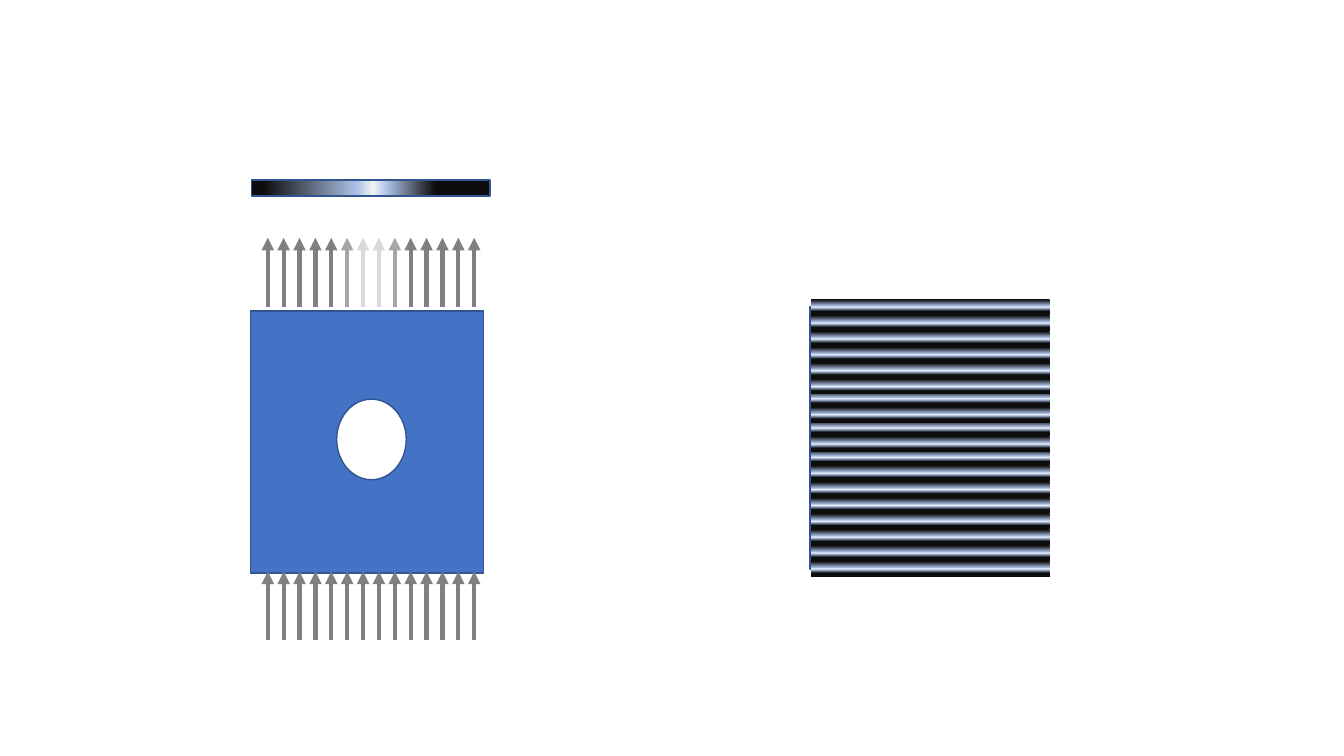
from lxml import etree
from pptx import Presentation
from pptx.dml.color import RGBColor
from pptx.enum import shapes as kinds
from pptx.oxml import ns
from pptx.util import Pt

BLUE = RGBColor(0x44, 0x72, 0xC4)
NAVY = RGBColor(0x32, 0x54, 0x91)
WHITE = RGBColor(0xFF, 0xFF, 0xFF)
GRAY = RGBColor(0x80, 0x80, 0x80)
SILVER = RGBColor(0xA6, 0xA6, 0xA6)
PALE = RGBColor(0xD9, 0xD9, 0xD9)
BLACK = RGBColor(0x0D, 0x0D, 0x0D)
SKY = RGBColor(0xAB, 0xC0, 0xE4)
GLOW = RGBColor(0xF2, 0xF2, 0xF2)

PROFILE = [(5, BLACK), (44, SKY), (51, GLOW), (57, SKY), (77, BLACK)]
ALONG_BAR, ACROSS_BAR = 270, 180
PITCH = 11.34
BAR_WIDTH, BAR_HEIGHT = 170.6, 11.5
BLOCK_WIDTH, BLOCK_HEIGHT = 166.3, 187.2
RAYS_IN = [GRAY] * 14
RAYS_OUT = [GRAY] * 5 + [SILVER, PALE, PALE, SILVER] + [GRAY] * 5
STRIPE_RUNS = [(0, 4), (107.3, 2), (86.4, 2), (65.5, 2), (45.4, 2), (130.3, 6)]


def apply_format(target, values):
    for name, value in values.items():
        setattr(target, name, value)


def add_body(parent, kind, box, fill=None, outlined=True):
    body = parent.add_shape(kind, *map(Pt, box))
    body.shadow.inherit = False
    if fill is not None:
        body.fill.solid()
        body.fill.fore_color.rgb = fill
    if outlined:
        body.line.fill.solid()
        apply_format(body.line, {"width": Pt(1)})
        body.line.color.rgb = NAVY
    else:
        body.line.fill.background()
    return body


def add_upright(parent, left, top, width, height, fill=None, outlined=True):
    shift = (width - height) / 2
    box = (left + shift, top - shift, height, width)
    upright = add_body(parent, kinds.MSO_SHAPE.RECTANGLE, box, fill, outlined)
    upright.rotation = 270
    return upright


def add_intensity_bar(parent, left, top, direction, outlined):
    bar = add_upright(parent, left, top, BAR_WIDTH, BAR_HEIGHT, outlined=outlined)
    bar.fill.gradient()
    bar.fill.gradient_angle = direction
    stops = bar._element.spPr.find(ns.qn("a:gradFill")).find(ns.qn("a:gsLst"))
    for stop in list(stops):
        stops.remove(stop)
    for percent, color in PROFILE:
        stop = etree.SubElement(stops, ns.qn("a:gs"), pos=str(percent * 1000))
        etree.SubElement(stop, ns.qn("a:srgbClr"), val=str(color))


def add_rays(parent, left, top, height, colors):
    for index, color in enumerate(colors):
        x = Pt(left + index * PITCH)
        ray = parent.add_connector(
            kinds.MSO_CONNECTOR.STRAIGHT, x, Pt(top + height), x, Pt(top))
        ray.line.width = Pt(3)
        ray.line.color.rgb = color
        outline = ray._element.spPr.find(ns.qn("a:ln"))
        etree.SubElement(outline, ns.qn("a:tailEnd"), type="triangle")
        etree.SubElement(ray._element.spPr, ns.qn("a:effectLst"))


def draw_projection(parent, left, top):
    add_upright(parent, left, top + 93.6, BLOCK_WIDTH, BLOCK_HEIGHT, BLUE)
    add_body(parent, kinds.MSO_SHAPE.OVAL,
             (left + 61.6, top + 156.6, 49.7, 57.6), WHITE)
    add_rays(parent, left + 12.4, top + 279.7, 49, RAYS_IN)
    add_rays(parent, left + 12.4, top + 41.4, 49.7, RAYS_OUT)
    add_intensity_bar(parent, left + 0.7, top, ALONG_BAR, True)


def draw_stacked_profiles(parent, left, top):
    stack = parent.add_group_shape().shapes
    add_upright(stack, left, top + 5.7, BLOCK_WIDTH, BLOCK_HEIGHT, BLUE)
    for offset, count in STRIPE_RUNS:
        for index in range(count):
            add_intensity_bar(stack, left + 0.7, top + offset + index * PITCH,
                              ACROSS_BAR, False)


deck = Presentation()
apply_format(deck, {"slide_width": Pt(960), "slide_height": Pt(540)})
slide = deck.slides.add_slide(deck.slide_layouts[6])
draw_projection(slide.shapes, 178.9, 128.5)
draw_stacked_profiles(slide.shapes, 578.5, 213.5)
deck.save("out.pptx")
